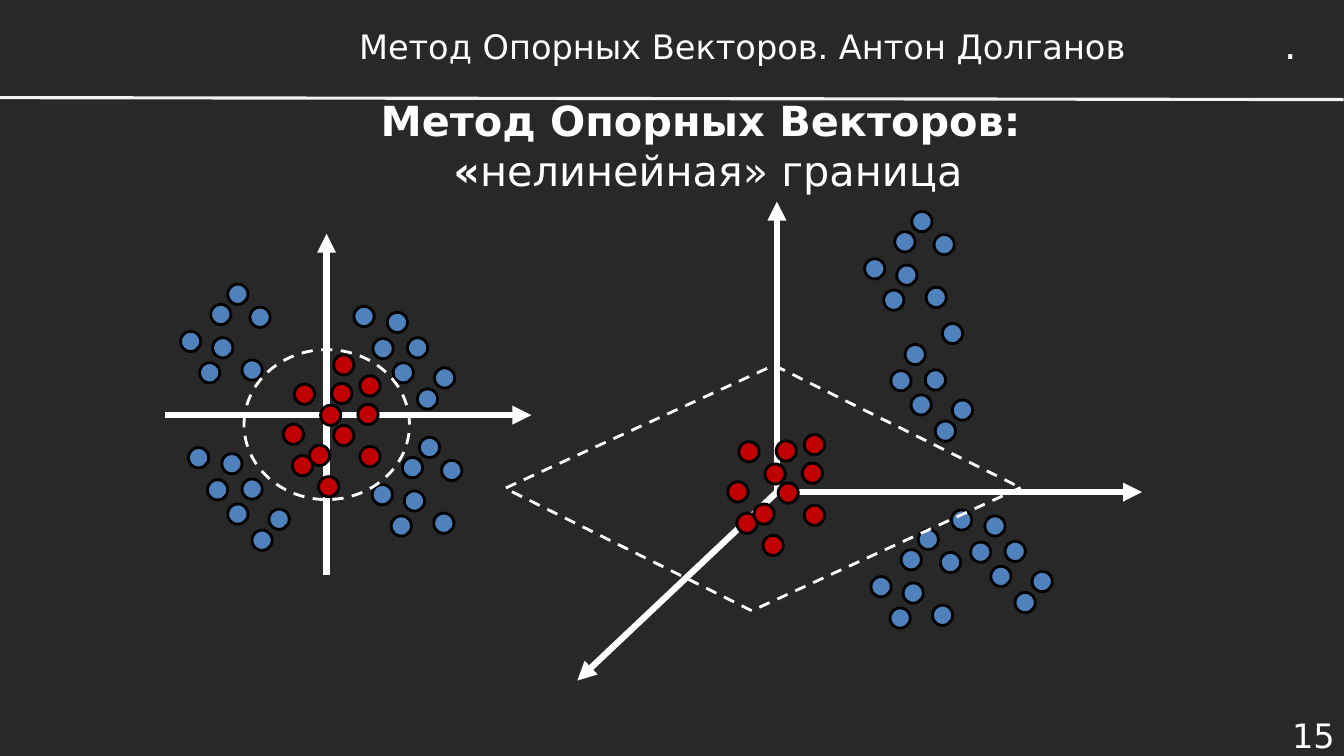
from dataclasses import dataclass

from lxml import etree
from pptx import Presentation
from pptx.dml.color import RGBColor
from pptx.enum.dml import MSO_LINE
from pptx.enum.shapes import MSO_CONNECTOR, MSO_SHAPE
from pptx.enum.text import MSO_ANCHOR, MSO_AUTO_SIZE, PP_ALIGN
from pptx.oxml.ns import qn
from pptx.shapes.autoshape import Shape
from pptx.slide import Slide
from pptx.util import Cm, Pt

DASH = MSO_LINE.DASH
STRAIGHT = MSO_CONNECTOR.STRAIGHT
ELLIPSE, PARALLELOGRAM = MSO_SHAPE.OVAL, MSO_SHAPE.PARALLELOGRAM
TOP, MIDDLE = MSO_ANCHOR.TOP, MSO_ANCHOR.MIDDLE
LEFT, CENTER, RIGHT = PP_ALIGN.LEFT, PP_ALIGN.CENTER, PP_ALIGN.RIGHT
GROW, FIXED = MSO_AUTO_SIZE.SHAPE_TO_FIT_TEXT, MSO_AUTO_SIZE.NONE

Point = tuple[float, float]
Box = tuple[float, float, float, float]


@dataclass(frozen=True)
class Theme:
    background: RGBColor = RGBColor(0x27, 0x28, 0x27)
    white: RGBColor = RGBColor(0xFF, 0xFF, 0xFF)
    rule: RGBColor = RGBColor(0xF2, 0xF2, 0xF2)
    outer_class: RGBColor = RGBColor(0x4F, 0x81, 0xBD)
    inner_class: RGBColor = RGBColor(0xC0, 0x00, 0x00)
    outline: RGBColor = RGBColor(0x00, 0x00, 0x00)
    font: str = "DejaVu Sans"
    header_size: float = 24
    mark_size: float = 28
    title_size: float = 29.6
    axis_width: float = 4.5
    rule_width: float = 2.25
    outline_width: float = 2


THEME = Theme()


@dataclass(frozen=True)
class Segment:
    start: Point
    end: Point
    color: RGBColor = THEME.white
    width: float = THEME.axis_width
    arrow: bool = True


@dataclass(frozen=True)
class Cluster:
    """Dots of one class: a pattern of offsets moved to an origin, in cm."""
    origin: Point
    pattern: tuple[Point, ...]
    color: RGBColor = THEME.outer_class


@dataclass(frozen=True)
class Label:
    """Text box; each paragraph is a list of (text, bold) runs."""
    box: Box
    paragraphs: list[list[tuple[str, bool]]]
    size: float = THEME.header_size
    align: PP_ALIGN = CENTER
    anchor: MSO_ANCHOR = MIDDLE
    wrap: bool = True
    auto_size: MSO_AUTO_SIZE = FIXED


DOT_SIZE = 0.51
FAN = ((1.55, 1.91), (0.81, 1.35), (1.75, 0.58), (0, 1.19),
       (0.76, 0.51), (1.19, 0), (0.48, 1.98))
BAND = ((0, 0), (0.99, 1.42), (0.84, 0.15), (1.35, 0.79),
        (1.6, 2.08), (2.03, 1.55), (0.48, 0.81))
CORE = ((1.27, 0), (1.22, 0.72), (1.27, 1.78), (0.28, 0.74),
        (0.23, 2.54), (0, 1.75))

PLANE_CLUSTERS = [
    Cluster((8.92, 7.72), BAND),
    Cluster((7.14, 8.94), CORE, THEME.inner_class),
    Cluster((7.8, 9.47), CORE, THEME.inner_class),
    Cluster((4.75, 11.28), BAND),
    Cluster((9.38, 11.02), FAN),
    Cluster((4.55, 7.16), FAN),
]
SPACE_CLUSTERS = [
    Cluster((21.97, 8.53), BAND[1:] + ((1.78, -0.38),)),
    Cluster((18.34, 10.39), CORE[1:], THEME.inner_class),
    Cluster((19, 10.95), CORE, THEME.inner_class),
    Cluster((23.98, 12.85), BAND),
    Cluster((21.95, 13.34), FAN),
    Cluster((21.79, 5.33), FAN),
]

HEADER_RULE = Segment((0, 2.46), (33.86, 2.51), THEME.rule, THEME.rule_width, False)
PLANE_AXES = [Segment((8.23, 14.48), (8.23, 5.89)),
              Segment((4.17, 10.46), (13.39, 10.46))]
SPACE_ORIGIN = (19.58, 12.4)
SPACE_AXES = [Segment(SPACE_ORIGIN, tip)
              for tip in ((19.58, 5.08), (28.78, 12.4), (14.55, 17.15))]

LABELS = [
    Label((31.22, 17.98, 2.67, 1.07), [[("15", False)]], align=RIGHT),
    Label((8.74, 0.48, 19.94, 1.35),
          [[("Метод Опорных Векторов. Антон Долганов", False)]]),
    Label((32.11, 0.38, 0.86, 1.45), [[(".", False)]], THEME.mark_size,
          LEFT, TOP, False, GROW),
    Label((4.17, 2.49, 27.36, 2.31),
          [[("Метод Опорных Векторов: ", True)],
           [("«", True), ("нелинейная» граница", False)]], THEME.title_size),
]


def add_segment(slide: Slide, segment: Segment) -> None:
    ends = [Cm(value) for value in segment.start + segment.end]
    connector = slide.shapes.add_connector(STRAIGHT, *ends)
    connector.line.color.rgb = segment.color
    connector.line.width = Pt(segment.width)
    if segment.arrow:
        line_xml = connector.line._get_or_add_ln()
        etree.SubElement(line_xml, qn("a:tailEnd"), type="triangle")
    etree.SubElement(connector._element.spPr, qn("a:effectLst"))


def add_outlined(slide: Slide, kind: MSO_SHAPE, box: Box, outline: RGBColor) -> Shape:
    shape = slide.shapes.add_shape(kind, *(Cm(value) for value in box))
    shape.shadow.inherit = False
    shape.line.color.rgb = outline
    shape.line.width = Pt(THEME.outline_width)
    return shape


def add_cluster(slide: Slide, cluster: Cluster) -> None:
    left, top = cluster.origin
    for dx, dy in cluster.pattern:
        box = (left + dx, top + dy, DOT_SIZE, DOT_SIZE)
        dot = add_outlined(slide, ELLIPSE, box, THEME.outline)
        dot.fill.solid()
        dot.fill.fore_color.rgb = cluster.color


def add_boundary(slide: Slide, kind: MSO_SHAPE, box: Box) -> Shape:
    """Unfilled dashed outline separating the two classes."""
    boundary = add_outlined(slide, kind, box, THEME.white)
    boundary.fill.background()
    boundary.line.dash_style = DASH
    return boundary


def add_label(slide: Slide, label: Label) -> None:
    frame = slide.shapes.add_textbox(*(Cm(value) for value in label.box)).text_frame
    frame_format = {"word_wrap": label.wrap, "auto_size": label.auto_size,
                    "vertical_anchor": label.anchor}
    for attribute, value in frame_format.items():
        setattr(frame, attribute, value)
    for index, runs in enumerate(label.paragraphs):
        paragraph = frame.add_paragraph() if index else frame.paragraphs[0]
        paragraph.alignment = label.align
        for text, bold in runs:
            run = paragraph.add_run()
            run.text = text
            run.font.color.rgb = THEME.white
            font_format = {"name": THEME.font, "size": Pt(label.size), "bold": bold}
            for attribute, value in font_format.items():
                setattr(run.font, attribute, value)


def main() -> None:
    deck = Presentation()
    deck.slide_width, deck.slide_height = Cm(33.87), Cm(19.05)
    slide = deck.slides.add_slide(deck.slide_layouts[6])
    slide.background.fill.solid()
    slide.background.fill.fore_color.rgb = THEME.background

    for segment in [HEADER_RULE, *PLANE_AXES, *SPACE_AXES]:
        add_segment(slide, segment)
    for cluster in PLANE_CLUSTERS + SPACE_CLUSTERS:
        add_cluster(slide, cluster)

    add_boundary(slide, ELLIPSE, (6.15, 8.81, 4.17, 3.78))
    plane = add_boundary(slide, PARALLELOGRAM, (13.41, 9.4, 11.63, 5.79))
    plane.adjustments[0] = 0.81
    plane.rotation = 206.4

    for label in LABELS:
        add_label(slide, label)
    deck.save("out.pptx")


if __name__ == "__main__":
    main()
